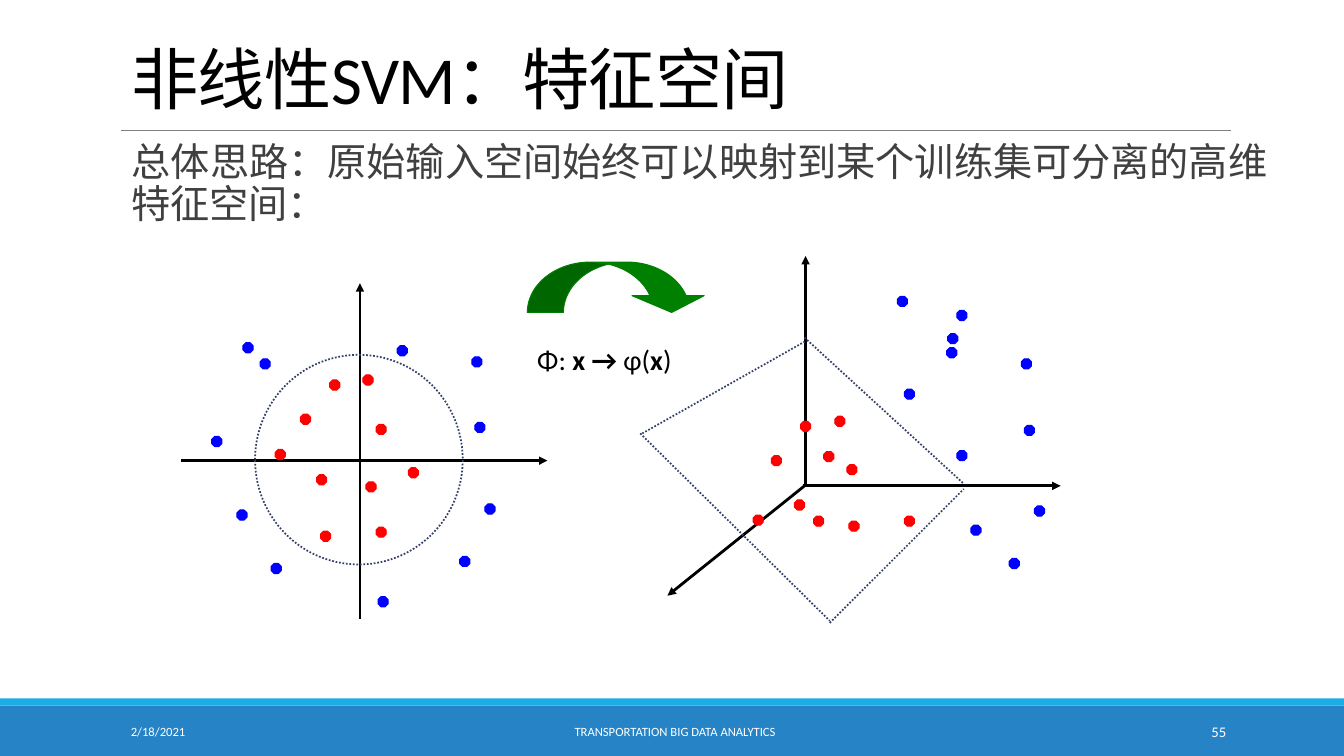
from typing import NamedTuple

from lxml.etree import SubElement
from pptx import Presentation
from pptx.dml.color import RGBColor
from pptx.enum.dml import MSO_LINE as Dash
from pptx.enum.shapes import MSO_CONNECTOR as Link, MSO_SHAPE as Kind
from pptx.enum.text import MSO_ANCHOR as Anchor, MSO_AUTO_SIZE as Fit, PP_ALIGN as Align
from pptx.oxml.ns import qn
from pptx.util import Inches, Pt

BLACK, WHITE, RED, BLUE, GREEN = "000000", "FFFFFF", "FF0000", "0000FF", "008000"
NAVY, GRAY, DARK, SKY, BAND = "344068", "808080", "404040", "1CADE4", "2683C6"
DOT = 0.1


class Box(NamedTuple):
    x: float
    y: float
    w: float
    h: float


class Line(NamedTuple):
    x1: float
    y1: float
    x2: float
    y2: float


class Note(NamedTuple):
    text: str
    box: Box
    size: float
    align: Align


class Cloud(NamedTuple):
    color: str
    spots: list[tuple[float, float]]


AXES = [
    Line(3.57, 6.14, 3.57, 2.81), Line(1.8, 4.57, 5.43, 4.57),
    Line(7.99, 4.8, 7.99, 2.54), Line(7.96, 4.82, 10.52, 4.82),
    Line(7.98, 4.82, 6.62, 5.91),
]
PLANE = [
    Line(7.98, 3.35, 9.56, 4.8), Line(8.23, 6.18, 9.56, 4.85),
    Line(6.37, 4.3, 7.98, 3.39), Line(6.35, 4.3, 8.23, 6.16),
]
CLOUDS = [
    # input space
    Cloud(RED, [(3.6, 3.72), (2.98, 4.11), (3.14, 4.71), (3.73, 5.23), (3.27, 3.77),
                (2.73, 4.46), (3.18, 5.27), (3.73, 4.21), (4.05, 4.64), (3.63, 4.78)]),
    Cloud(BLUE, [(4.71, 4.19), (4.56, 5.52), (2.1, 4.33), (3.75, 5.92), (4.81, 5),
                 (2.69, 5.59), (2.35, 5.06), (2.41, 3.4), (3.94, 3.43), (2.58, 3.56),
                 (4.68, 3.54)]),
    # feature space
    Cloud(RED, [(8.28, 4.13), (7.65, 4.52), (8.07, 5.12), (8.97, 5.12), (7.94, 4.18),
                (8.17, 4.48), (8.42, 5.17), (8.4, 4.61), (7.88, 4.96), (7.47, 5.11)]),
    Cloud(BLUE, [(10.16, 4.22), (10.01, 5.54), (9.49, 3.08), (9.49, 4.47), (10.26, 5.02),
                 (8.97, 3.86), (9.63, 5.21), (9.4, 3.31), (9.39, 3.45), (8.9, 2.94),
                 (10.13, 3.56)]),
]
NOTES = [
    Note("2/18/2021", Box(1.2, 7.06, 2.7, 0.4), 9, Align.LEFT),
    Note("TRANSPORTATION BIG DATA ANALYTICS", Box(4.06, 7.06, 5.27, 0.4), 9, Align.CENTER),
    Note("55", Box(10.83, 7.06, 1.43, 0.4), 10.5, Align.RIGHT),
]


def rgb(code: str) -> RGBColor:
    return RGBColor.from_string(code)


def add_run(para, text: str, size: float, color: str, bold: bool = False):
    run = para.add_run()
    run.text = text
    font = run.font
    font.name, font.size, font.bold = "Calibri", Pt(size), bold
    font.color.rgb = rgb(color)
    return run


def place(shape, box: Box) -> None:
    shape.left, shape.top, shape.width, shape.height = map(Inches, box)


def draw_shape(slide, kind: Kind, box: Box, fill: str = "", edge: str = "", width: float = 0.75):
    """Add a preset shape; an empty colour means no fill or no line."""
    shape = slide.shapes.add_shape(kind, *map(Inches, box))
    shape.shadow.inherit = False
    for part, color in ((shape.fill, fill), (shape.line.fill, edge)):
        if color:
            part.solid()
            part.fore_color.rgb = rgb(color)
        else:
            part.background()
    if edge:
        shape.line.width = Pt(width)
    return shape


def draw_line(slide, line: Line, color: str, width: float,
              dash: bool = False, arrow: bool = False) -> None:
    link = slide.shapes.add_connector(Link.STRAIGHT, *map(Inches, line))
    link.line.color.rgb = rgb(color)
    link.line.width = Pt(width)
    if dash:
        link.line.dash_style = Dash.ROUND_DOT
    if arrow:
        SubElement(link.line._get_or_add_ln(), qn("a:tailEnd"), type="triangle")
    SubElement(link._element.spPr, qn("a:effectLst"))


def add_text(slide, box: Box, anchor: Anchor = Anchor.TOP):
    """Add a wrapping text box and return its first paragraph."""
    frame = slide.shapes.add_textbox(*map(Inches, box)).text_frame
    frame.word_wrap = True
    frame.vertical_anchor = anchor
    return frame.paragraphs[0]


def fill_title(slide) -> None:
    title = slide.shapes.title
    place(title, Box(1.2, 0.13, 11, 1.09))
    frame = title.text_frame
    frame.auto_size, frame.vertical_anchor = Fit.NONE, Anchor.BOTTOM
    para = frame.paragraphs[0]
    para.alignment, para.line_spacing = Align.LEFT, 0.85
    run = add_run(para, "非线性SVM：特征空间", 48, BLACK)
    run.font._element.set("spc", "-50")


def fill_body(slide) -> None:
    body = slide.placeholders[1]
    place(body, Box(1.2, 1.36, 11.51, 5.53))
    frame = body.text_frame
    frame.auto_size, frame.vertical_anchor = Fit.NONE, Anchor.TOP
    frame.margin_left = frame.margin_right = 0
    para = frame.paragraphs[0]
    para.line_spacing, para.space_before, para.space_after = 0.9, Pt(0), Pt(2)
    props = para._p.get_or_add_pPr()
    props.set("marL", str(Inches(0.1)))
    props.set("indent", str(Inches(-0.1)))
    SubElement(SubElement(props, qn("a:buClr")), qn("a:srgbClr"), val=SKY)
    SubElement(props, qn("a:buChar"), char=" ")
    add_run(para, "总体思路：原始输入空间始终可以映射到某个训练集可分离的高维特征空间：", 28, DARK)


def draw_frame(slide) -> None:
    """Draw the footer bands, the rule under the title and the footer."""
    draw_shape(slide, Kind.RECTANGLE, Box(0, 7, 13.33, 0.5), BAND)
    draw_shape(slide, Kind.RECTANGLE, Box(0, 6.93, 13.33, 0.07), SKY)
    draw_line(slide, Line(1.2, 1.29, 12.21, 1.29), GRAY, 0.5)
    for note in NOTES:
        para = add_text(slide, note.box, Anchor.MIDDLE)
        para.alignment = note.align
        add_run(para, note.text, note.size, WHITE)


def draw_spaces(slide) -> None:
    for axis in AXES:
        draw_line(slide, axis, BLACK, 2, arrow=True)
    for cloud in CLOUDS:
        for x, y in cloud.spots:
            draw_shape(slide, Kind.OCTAGON, Box(x, y, DOT, DOT), cloud.color, cloud.color)
    ring = draw_shape(slide, Kind.OVAL, Box(2.53, 3.52, 2.06, 2.08), edge=NAVY, width=1.25)
    ring.line.dash_style = Dash.ROUND_DOT
    for side in PLANE:
        draw_line(slide, side, NAVY, 1.25, dash=True)


def draw_map(slide) -> None:
    """Draw the curved arrow and the mapping formula below it."""
    arrow = draw_shape(slide, Kind.CURVED_DOWN_ARROW, Box(5.23, 2.6, 1.79, 0.5), GREEN, GREEN)
    for i, value in enumerate((0.717, 1.433, 0.333)):
        arrow.adjustments[i] = value
    para = add_text(slide, Box(5.23, 3.35, 2.08, 0.43))
    for text, bold in (("Φ: ", False), ("x → ", True), ("φ(", False), ("x", True), (")", False)):
        add_run(para, text, 20, BLACK, bold)


def main() -> None:
    deck = Presentation()
    deck.slide_width, deck.slide_height = Inches(13.33), Inches(7.5)
    slide = deck.slides.add_slide(deck.slide_layouts[1])
    draw_frame(slide)
    fill_title(slide)
    fill_body(slide)
    draw_spaces(slide)
    draw_map(slide)
    deck.save("out.pptx")


if __name__ == "__main__":
    main()
